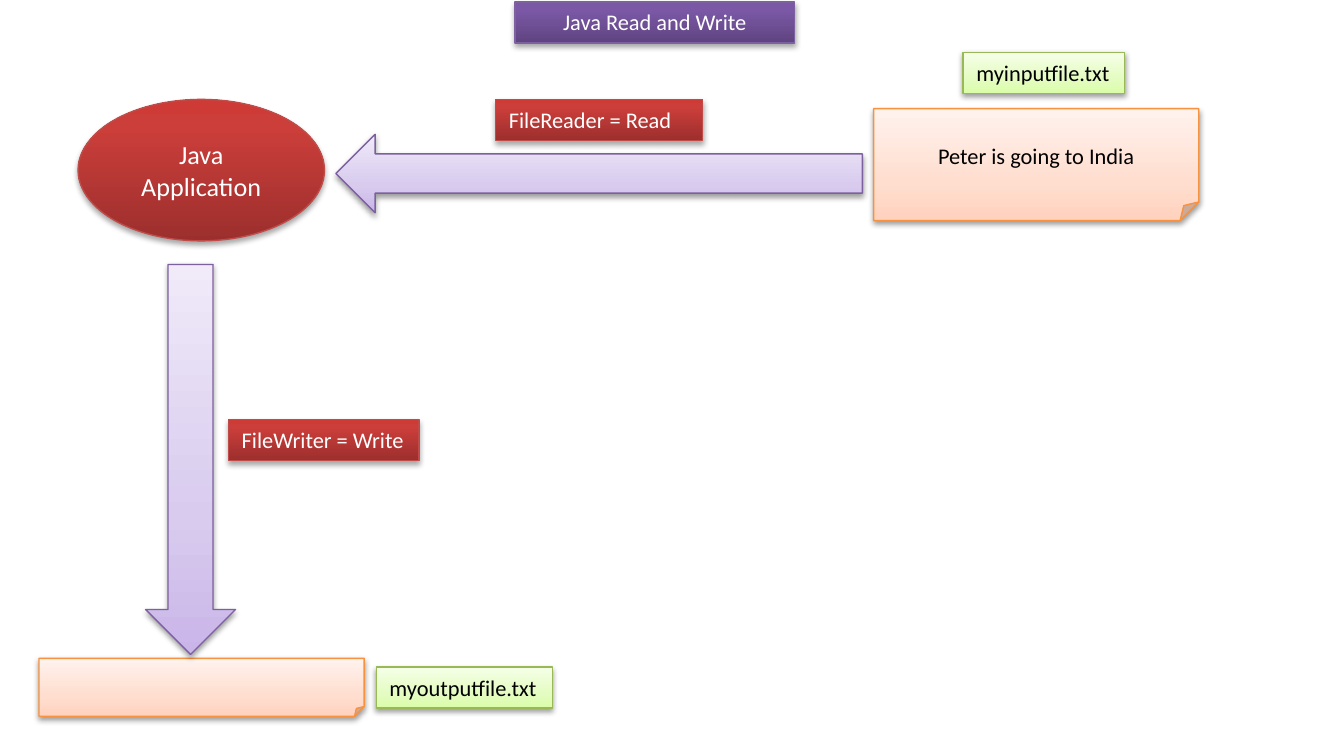
from copy import deepcopy
from dataclasses import dataclass

from lxml import etree
from pptx import Presentation
from pptx.dml.color import RGBColor
from pptx.enum.shapes import MSO_SHAPE
from pptx.enum.text import MSO_ANCHOR, MSO_AUTO_SIZE, PP_ALIGN
from pptx.oxml.ns import qn
from pptx.util import Pt

RECTANGLE, ELLIPSE = MSO_SHAPE.RECTANGLE, MSO_SHAPE.OVAL
FOLDED_PAGE = MSO_SHAPE.FOLDED_CORNER
LEFT_ARROW, DOWN_ARROW = MSO_SHAPE.LEFT_ARROW, MSO_SHAPE.DOWN_ARROW
TOP, MIDDLE = MSO_ANCHOR.TOP, MSO_ANCHOR.MIDDLE
LEFT, CENTER = PP_ALIGN.LEFT, PP_ALIGN.CENTER
NO_AUTOFIT, FIT_SHAPE = MSO_AUTO_SIZE.NONE, MSO_AUTO_SIZE.SHAPE_TO_FIT_TEXT

BLACK = RGBColor(0x00, 0x00, 0x00)
WHITE = RGBColor(0xFF, 0xFF, 0xFF)
PURPLE = RGBColor(0x7D, 0x60, 0xA0)
PURPLE_DARK = [RGBColor(0x5F, 0x44, 0x80), RGBColor(0x7B, 0x58, 0xA6), RGBColor(0x7C, 0x57, 0xA8)]
PURPLE_PALE = [RGBColor(0xC9, 0xB5, 0xE8), RGBColor(0xD8, 0xCB, 0xEE), RGBColor(0xF0, 0xEA, 0xF9)]
RED = RGBColor(0xBF, 0x4C, 0x48)
RED_DARK = [RGBColor(0x9C, 0x2F, 0x2D), RGBColor(0xCB, 0x3E, 0x3A), RGBColor(0xCE, 0x3B, 0x37)]
ORANGE = RGBColor(0xF6, 0x92, 0x40)
ORANGE_PALE = [RGBColor(0xFF, 0xD2, 0xBD), RGBColor(0xFF, 0xDE, 0xD0), RGBColor(0xFF, 0xF2, 0xED)]
GREEN = RGBColor(0x98, 0xB9, 0x55)
GREEN_PALE = [RGBColor(0xDA, 0xFD, 0xA7), RGBColor(0xE4, 0xFC, 0xC2), RGBColor(0xF5, 0xFF, 0xE7)]

LABEL_HEIGHT = 22
PAGE_WIDTH = 174.2


@dataclass
class Look:
    """Gradient from bottom to top, outline, text colour and shadow."""
    colors: list
    outline: RGBColor
    ink: RGBColor
    middle_stop: float
    shadow_distance: float
    shadow_alpha: int


def intense(colors, outline):
    return Look(colors, outline, WHITE, 0.8, 1.8, 35)


def subtle(colors, outline):
    return Look(colors, outline, BLACK, 0.35, 1.6, 38)


TITLE = intense(PURPLE_DARK, PURPLE)
CODE = intense(RED_DARK, RED)
ARROW = subtle(PURPLE_PALE, PURPLE)
PAGE = subtle(ORANGE_PALE, ORANGE)
FILE_NAME = subtle(GREEN_PALE, GREEN)


class Diagram:
    def __init__(self, slide, font_name="Calibri", font_size=12):
        self.slide = slide
        self.font_name = font_name
        self.font_size = font_size

    def paint(self, shape, look):
        shape.fill.gradient()
        shape.fill.gradient_angle = 90
        stops = shape._element.spPr.find(qn("a:gradFill")).find(qn("a:gsLst"))
        stops.append(deepcopy(stops[-1]))
        for stop, color, position in zip(shape.fill.gradient_stops, look.colors, (0, look.middle_stop, 1)):
            stop.color.rgb = color
            stop.position = position
        shape.line.color.rgb = look.outline
        shape.line.width = Pt(0.75)
        self.cast_shadow(shape, look)

    def cast_shadow(self, shape, look):
        shape.shadow.inherit = False
        effects = shape._element.spPr.find(qn("a:effectLst"))
        shadow = etree.SubElement(effects, qn("a:outerShdw"), blurRad=str(Pt(3.1)),
                                  dist=str(Pt(look.shadow_distance)), dir="5400000", rotWithShape="0")
        color = etree.SubElement(shadow, qn("a:srgbClr"), val=str(BLACK))
        etree.SubElement(color, qn("a:alpha"), val=str(look.shadow_alpha * 1000))

    def set_text(self, shape, text, look, align=CENTER, size=None, **frame_format):
        frame = shape.text_frame
        frame.text = text
        for name, value in frame_format.items():
            setattr(frame, name, value)
        paragraph = frame.paragraphs[0]
        paragraph.alignment = align
        font_format = {"name": self.font_name, "size": Pt(size or self.font_size), "bold": False}
        for name, value in font_format.items():
            setattr(paragraph.font, name, value)
        paragraph.font.color.rgb = look.ink

    def title(self, text, left, top, width):
        title = self.slide.shapes.title
        bounds = {"left": left, "top": top, "width": width, "height": LABEL_HEIGHT}
        for name, value in bounds.items():
            setattr(title, name, Pt(value))
        self.paint(title, TITLE)
        self.set_text(title, text, TITLE, vertical_anchor=TOP, auto_size=NO_AUTOFIT, word_wrap=True)

    def block(self, kind, look, left, top, width, height, text="", size=None):
        shape = self.slide.shapes.add_shape(kind, Pt(left), Pt(top), Pt(width), Pt(height))
        self.paint(shape, look)
        if text:
            self.set_text(shape, text, look, size=size, vertical_anchor=MIDDLE, word_wrap=True)

    def label(self, text, look, left, top, width, wrap=False):
        label = self.slide.shapes.add_shape(RECTANGLE, Pt(left), Pt(top), Pt(width), Pt(LABEL_HEIGHT))
        self.paint(label, look)
        self.set_text(label, text, look, align=LEFT, vertical_anchor=TOP, auto_size=FIT_SHAPE, word_wrap=wrap)


def main():
    deck = Presentation()
    deck.slide_width, deck.slide_height = Pt(720), Pt(396)
    diagram = Diagram(deck.slides.add_slide(deck.slide_layouts[5]))

    diagram.title("Java Read and Write", 275.8, 1, 150)

    diagram.block(FOLDED_PAGE, PAGE, 468, 58.2, PAGE_WIDTH, 60, "Peter is going to India")
    diagram.label("myinputfile.txt", FILE_NAME, 516, 28.1, 86.6)
    diagram.block(ELLIPSE, CODE, 41.8, 53.3, 132, 75.8, "Java Application", size=14)
    diagram.label("FileReader = Read", CODE, 265.5, 53.3, 111, wrap=True)

    diagram.block(FOLDED_PAGE, PAGE, 20.9, 352.8, PAGE_WIDTH, 31)
    diagram.label("myoutputfile.txt", FILE_NAME, 201.6, 357.5, 94.4)
    diagram.label("FileWriter = Write", CODE, 122.4, 224.8, 102.2)

    diagram.block(LEFT_ARROW, ARROW, 180, 72, 282, 42)
    diagram.block(DOWN_ARROW, ARROW, 78, 141.7, 48.2, 209)

    deck.save("out.pptx")


if __name__ == "__main__":
    main()
